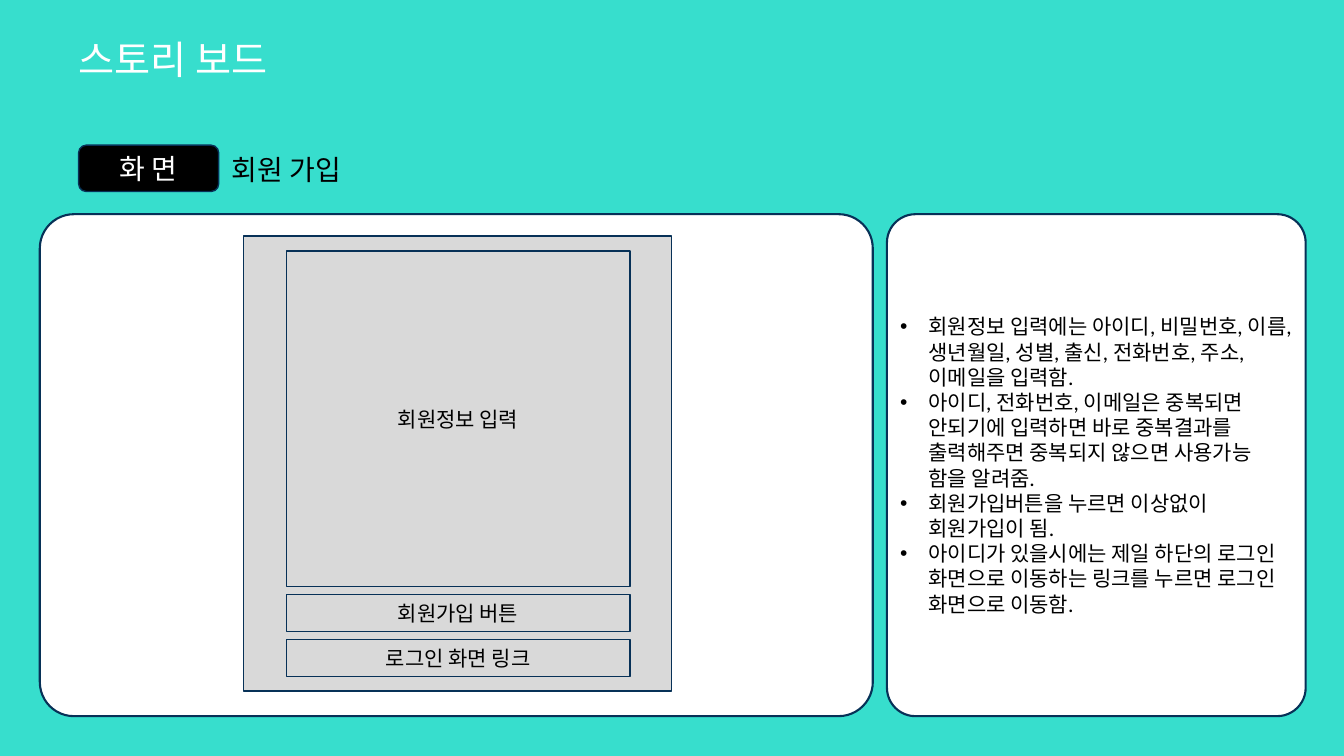
from lxml import etree
from pptx import Presentation
from pptx.dml import color
from pptx.enum import shapes, text
from pptx.oxml import ns
from pptx.util import Inches, Pt

FONT = "Lato"
COLORS = {
    "background": "37DECD",
    "white": "FFFFFF",
    "black": "000000",
    "outline": "073157",
    "wireframe": "D9D9D9",
}
RECTANGLE = shapes.MSO_SHAPE.RECTANGLE
ROUNDED = shapes.MSO_SHAPE.ROUNDED_RECTANGLE

NOTES = [
    "회원정보 입력에는 아이디, 비밀번호, 이름, 생년월일, 성별, 출신, 전화번호, 주소, 이메일을 입력함.",
    "아이디, 전화번호, 이메일은 중복되면 안되기에 입력하면 바로 중복결과를 출력해주면 중복되지 않으면 사용가능 함을 알려줌.",
    "회원가입버튼을 누르면 이상없이 회원가입이 됨.",
    "아이디가 있을시에는 제일 하단의 로그인 화면으로 이동하는 링크를 누르면 로그인 화면으로 이동함.",
]


def rgb(name):
    return color.RGBColor.from_string(COLORS[name])


def style_paragraph(paragraph, size, color_name, align):
    paragraph.alignment = align
    paragraph.font.size = Pt(size)
    paragraph.font.name = FONT
    paragraph.font.color.rgb = rgb(color_name)


def add_label(slide, box, content, size, color_name):
    """Add a left-aligned line of text and return its text frame."""
    frame = slide.shapes.add_textbox(*map(Inches, box)).text_frame
    frame.word_wrap = True
    frame.text = content
    style_paragraph(frame.paragraphs[0], size, color_name, text.PP_ALIGN.LEFT)
    return frame


def add_box(slide, kind, box, fill, line_width, radius=None):
    shape = slide.shapes.add_shape(kind, *map(Inches, box))
    shape.shadow.inherit = False
    shape.fill.solid()
    shape.fill.fore_color.rgb = rgb(fill)
    shape.line.color.rgb = rgb("outline")
    shape.line.width = Pt(line_width)
    if radius is not None:
        shape.adjustments[0] = radius
    return shape


def write_centered(shape, content, size, color_name):
    frame = shape.text_frame
    frame.vertical_anchor = text.MSO_ANCHOR.MIDDLE
    frame.text = content
    style_paragraph(frame.paragraphs[0], size, color_name, text.PP_ALIGN.CENTER)


def write_bullets(shape, items, size):
    frame = shape.text_frame
    frame.vertical_anchor = text.MSO_ANCHOR.MIDDLE
    frame.text = "\n".join(items)
    indent = Inches(0.56)
    for paragraph in frame.paragraphs:
        properties = paragraph._p.get_or_add_pPr()
        properties.set("marL", str(indent))
        properties.set("indent", str(-indent))
        etree.SubElement(properties, ns.qn("a:buFont"), typeface="Arial")
        etree.SubElement(properties, ns.qn("a:buChar"), char="•")
        style_paragraph(paragraph, size, "black", text.PP_ALIGN.LEFT)


def main():
    presentation = Presentation()
    presentation.slide_width = Inches(26.67)
    presentation.slide_height = Inches(15)
    slide = presentation.slides.add_slide(presentation.slide_layouts[6])
    slide.background.fill.solid()
    slide.background.fill.fore_color.rgb = rgb("background")

    # Title
    title = add_label(slide, (1.56, 0.62, 10.47, 1.08), "스토리 보드", 56, "white")
    title.vertical_anchor = text.MSO_ANCHOR.MIDDLE
    title.margin_left = title.margin_right = 0
    title.margin_top = title.margin_bottom = Inches(0.08)
    title.paragraphs[0].line_spacing = 1.0

    # Screen name
    badge = add_box(slide, ROUNDED, (1.56, 2.88, 2.78, 0.92), "black", 2)
    write_centered(badge, "화 면", 40, "white")
    add_label(slide, (4.5, 2.98, 6.82, 0.77), "회원 가입", 40, "black")

    # Panels: screen on the left, notes on the right
    panel_top, panel_height = 4.25, 9.96
    _, notes_panel = [
        add_box(slide, ROUNDED, (left, panel_top, width, panel_height), "white", 3, 0.068)
        for left, width in ((0.79, 16.53), (17.6, 8.31))
    ]
    write_bullets(notes_panel, NOTES, 30)

    # Sign-up screen wireframe
    add_box(slide, RECTANGLE, (4.83, 4.68, 8.5, 9.03), "wireframe", 2)
    top, gap = 4.98, 0.16
    for content, height in (
        ("회원정보 입력", 6.66),
        ("회원가입 버튼", 0.73),
        ("로그인 화면 링크", 0.73),
    ):
        field = add_box(slide, RECTANGLE, (5.68, top, 6.82, height), "wireframe", 2)
        write_centered(field, content, 30, "black")
        top += height + gap

    presentation.save("out.pptx")


if __name__ == "__main__":
    main()
